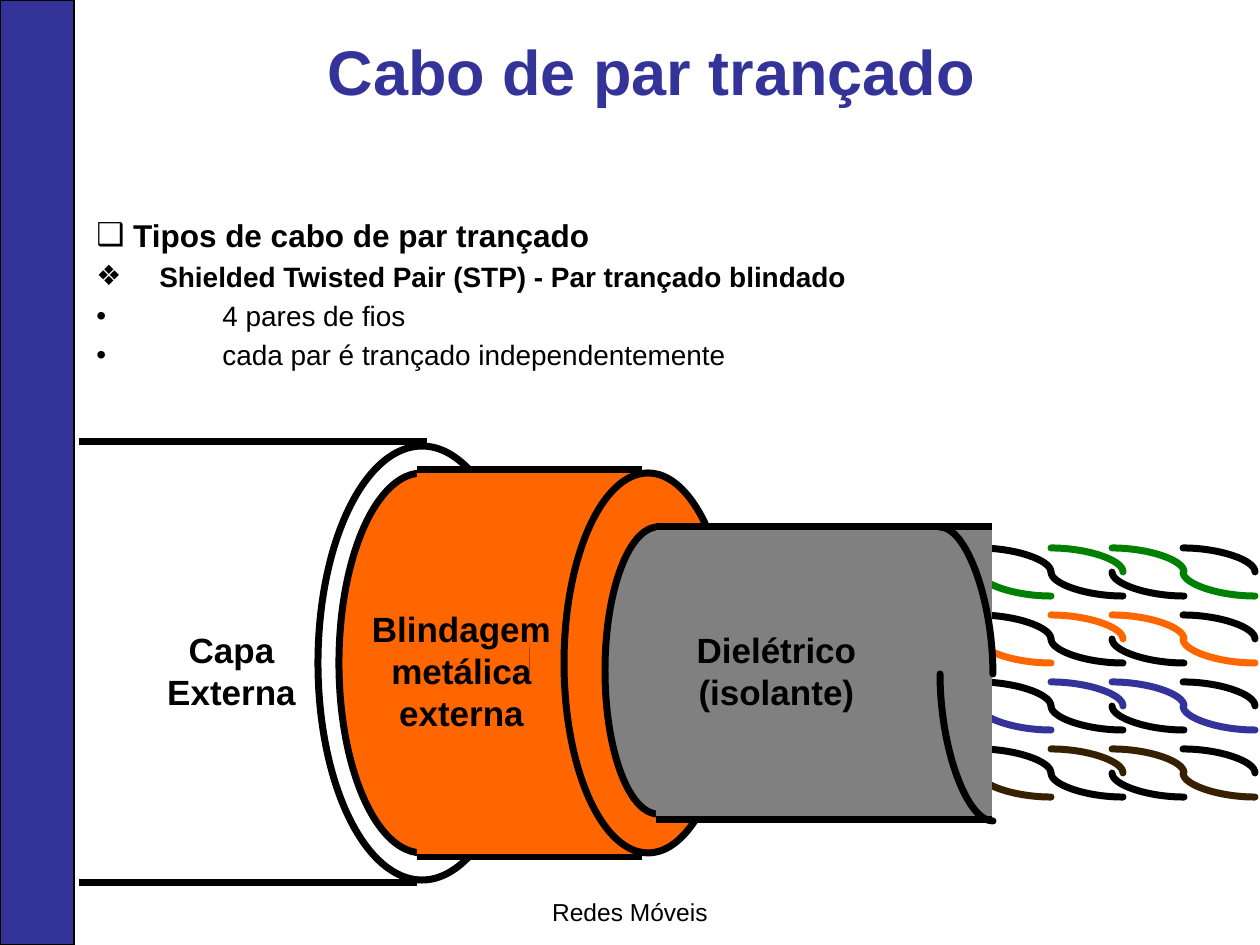
"""Builds the slide on shielded twisted pair cable with its layered cable drawing."""
from lxml.etree import SubElement
from pptx import Presentation
from pptx.dml.color import RGBColor
from pptx.enum.shapes import MSO_CONNECTOR as Link, MSO_SHAPE as Shape
from pptx.enum.text import MSO_ANCHOR, PP_ALIGN as Align
from pptx.oxml.ns import qn
from pptx.util import Emu, Pt

SCALE = 914400 / 126
BLACK, WHITE, BLUE = "000000", "FFFFFF", "333399"
ORANGE, GRAY, GREEN, BROWN = "FF6600", "808080", "008000", "372000"


def draw_line(left, top, width, height, colour=BLACK, curved=False, turned=False):
    ends = [Emu(round(n * SCALE)) for n in (left, top, left + width, top + height)]
    line = page.shapes.add_connector(Link.CURVE if curved else Link.STRAIGHT, *ends)
    line.line.color.rgb = RGBColor.from_string(colour)
    line.line.width = Pt(4)
    properties = line._element.spPr
    SubElement(properties, qn("a:effectLst"))
    if curved:
        properties.find(qn("a:prstGeom")).set("prst", "curvedConnector2")
        properties.find(qn("a:ln")).set("cap", "rnd")
    if turned:
        properties.find(qn("a:xfrm")).set("rot", "10800000")


def add_text(area, lines, align=Align.CENTER):
    box = page.shapes.add_textbox(*[Emu(round(n * SCALE)) for n in area])
    frame = box.text_frame
    frame.word_wrap = True
    frame.vertical_anchor = MSO_ANCHOR.TOP
    for index, (text, size, bold, colour, bullet, indent) in enumerate(lines):
        para = frame.add_paragraph() if index else frame.paragraphs[0]
        para.alignment = align
        if index:
            para.space_before = Pt(3.2)
        if bullet:
            para.level = index if index < 3 else 2
            properties = para._p.get_or_add_pPr()
            properties.set("marL", str(round(indent * SCALE)))
            properties.set("indent", str(round(-(indent or 11) * SCALE)))
            tint = SubElement(properties, qn("a:buClr"))
            SubElement(tint, qn("a:srgbClr")).set("val", BLACK)
            SubElement(properties, qn("a:buFont")).set("typeface", "Arial")
            SubElement(properties, qn("a:buChar")).set("char", bullet)
        span = para.add_run()
        span.text = text
        for name, value in {"name": "Arial", "size": Pt(size), "bold": bold}.items():
            setattr(span.font, name, value)
        span.font.color.rgb = RGBColor.from_string(colour)


deck = Presentation()
deck.slide_width, deck.slide_height = Emu(round(1260 * SCALE)), Emu(round(945 * SCALE))
page = deck.slides.add_slide(deck.slide_layouts[6])

for row, colour in enumerate([GREEN, ORANGE, BLUE, BROWN]):
    top = 548 + 67 * row
    for wire, turns in [(BLACK, (False, True, True, False)), (colour, (True, False, False, True))]:
        for left, turned in zip((979, 1051, 1112, 1183), turns):
            draw_line(left, top + 24 * turned, 72, 24, wire, True, turned)

solids = [
    (Shape.RECTANGLE, (0, 0, 74, 945), BLUE, 0.75),
    (Shape.RECTANGLE, (529, 470, 113, 388), ORANGE, 0),
    (Shape.OVAL, (564, 473, 168, 380), ORANGE, 4),
    (Shape.OVAL, (605, 527, 106, 287), GRAY, 4),
    (Shape.RECTANGLE, (304, 442, 113, 441), WHITE, 0),
    (Shape.OVAL, (318, 446, 208, 434), WHITE, 4),
    (Shape.OVAL, (339, 473, 166, 380), ORANGE, 4),
    (Shape.RECTANGLE, (417, 470, 112, 388), ORANGE, 0),
    (Shape.RECTANGLE, (192, 442, 112, 441), WHITE, 0),
    (Shape.RECTANGLE, (656, 527, 336, 294), GRAY, 0),
]
for kind, area, colour, outline in solids:
    solid = page.shapes.add_shape(kind, *[Emu(round(n * SCALE)) for n in area])
    solid.shadow.inherit = False
    solid.fill.solid()
    solid.fill.fore_color.rgb = RGBColor.from_string(colour)
    if outline:
        solid.line.color.rgb = RGBColor.from_string(BLACK)
        solid.line.width = Pt(outline)
    else:
        solid.line.fill.background()

edges = [(79, 442, 348), (79, 883, 338), (417, 470, 225), (417, 857, 225), (656, 527, 336), (656, 820, 336)]
for left, top, width in edges:
    draw_line(left, top, width, 0)
for top, turned in [(527, False), (674, True)]:
    draw_line(940, top, 53, 147, BLACK, True, turned)

add_text((53, 26, 1197, 152), [("Cabo de par trançado", 36, True, BLUE, "", 0)])
add_text((84, 210, 1176, 669), [
    (" Tipos de cabo de par trançado", 18, True, BLACK, "❑", 0),
    ("Shielded Twisted Pair (STP) - Par trançado blindado", 16, True, BLACK, "❖", 63),
    ("4 pares de fios", 16, False, BLACK, "•", 126),
    ("cada par é trançado independentemente", 16, False, BLACK, "•", 126),
], Align.LEFT)
labels = [
    ("Blindagem metálica externa", (341, 601, 241, 139)),
    ("Capa Externa", (111, 622, 241, 96)),
    ("Dielétrico (isolante)", (656, 622, 241, 96)),
]
for label, area in labels:
    add_text(area, [(label, 20, True, BLACK, "", 0)])
add_text((0, 891, 1260, 43), [("Redes Móveis", 14, False, BLACK, "", 0)])

deck.save("out.pptx")
